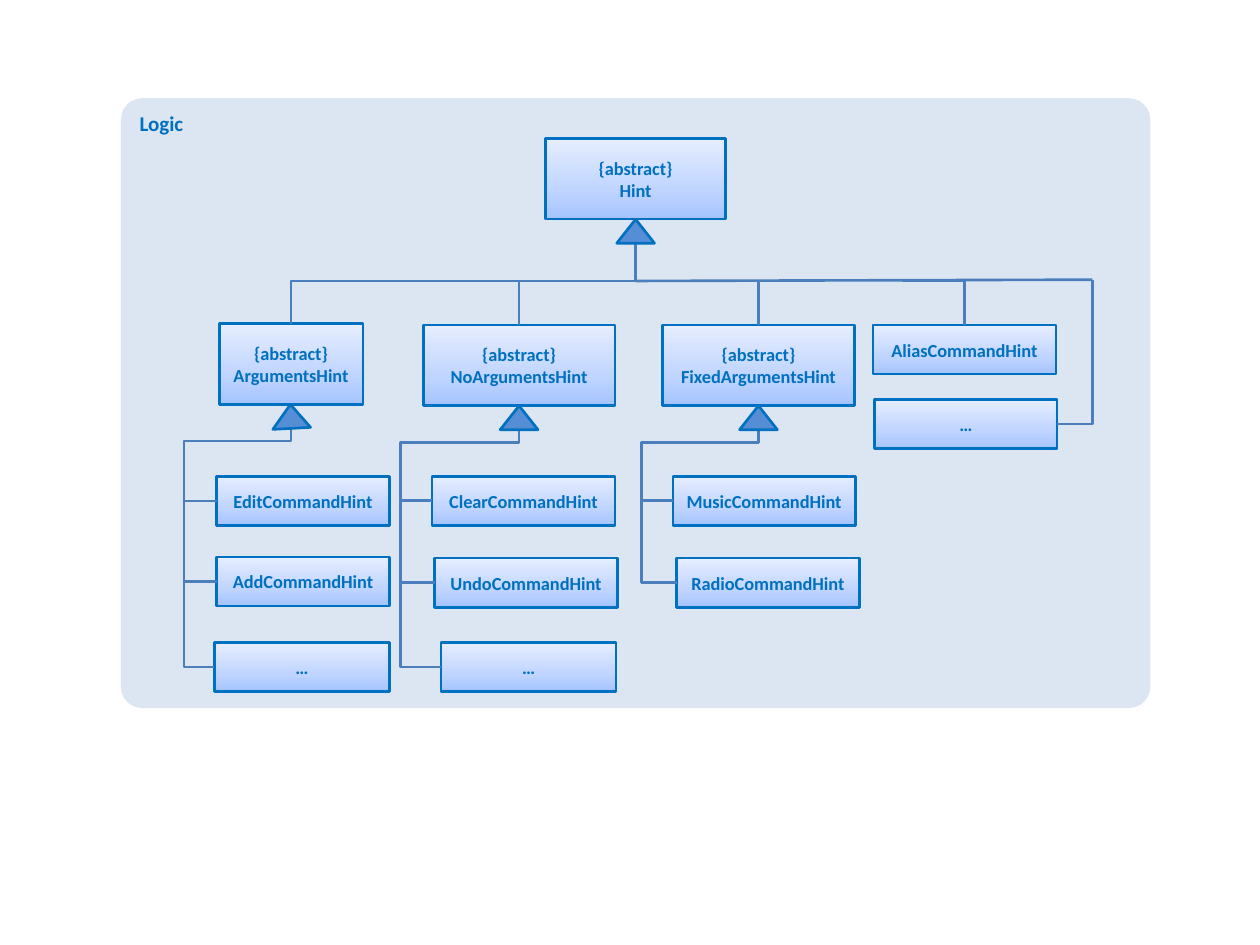
"""Build a class diagram of the hint hierarchy inside the Logic component."""
from copy import deepcopy
from dataclasses import dataclass

from lxml import etree
from pptx import Presentation
from pptx import util as u
from pptx.dml.color import RGBColor
from pptx.enum import shapes, text
from pptx.oxml.ns import qn


@dataclass(frozen=True)
class Theme:
    font: str = "Calibri"
    title_size: float = 12
    label_size: float = 10.5
    line_width: float = 1.5
    accent: str = "0070C0"
    panel: str = "DCE6F2"
    arrow: str = "558ED5"
    link: str = "4B7EBC"
    gradient: tuple = ((0, "A4C4FF"), (0.35, "BFD4FF"), (1, "E6EEFF"))


THEME = Theme()
ABSTRACT_H, CLASS_H = 0.64, 0.39
ARROW_W, ARROW_H = 0.3, 0.19
BUS_Y, BUS_END = 2.23, (8.67, 2.22)
FIRST_ROW, LAST_ROW = 3.78, 5.1

PANEL = ("Logic", 0.96, 0.78, 8.17, 4.84)
ROOT = ("{abstract}\nHint", 4.33, 1.1, 1.43)
FAMILIES = [
    {"parent": ("{abstract}\nArgumentsHint", 1.74, 2.57, 1.14), "trunk": 1.46, "tilt": -3.1,
     "children": [("EditCommandHint", 1.72, FIRST_ROW, 1.37),
                  ("AddCommandHint", 1.72, 4.42, 1.37),
                  ("…", 1.7, LAST_ROW, 1.39)]},
    {"parent": ("{abstract}\nNoArgumentsHint", 3.36, 2.58, 1.52), "trunk": 3.18, "tilt": 0,
     "children": [("ClearCommandHint", 3.43, FIRST_ROW, 1.45),
                  ("UndoCommandHint", 3.45, 4.43, 1.45),
                  ("…", 3.5, LAST_ROW, 1.39)]},
    {"parent": ("{abstract}\nFixedArgumentsHint", 5.26, 2.58, 1.52), "trunk": 5.09, "tilt": 0,
     "children": [("MusicCommandHint", 5.34, FIRST_ROW, 1.45),
                  ("RadioCommandHint", 5.37, 4.43, 1.45)]},
]
ALIAS = ("AliasCommandHint", 6.93, 2.58, 1.45)
OTHERS = ("…", 6.94, 3.17, 1.45)


def color(value):
    return RGBColor.from_string(value)


def write(shape, label, size, align, anchor):
    frame = shape.text_frame
    frame.word_wrap = True
    frame.vertical_anchor = anchor
    paragraph = frame.paragraphs[0]
    paragraph.alignment = align
    for i, row in enumerate(label.split("\n")):
        if i:
            paragraph.add_line_break()
        paragraph.add_run().text = row
    font = paragraph.font
    font.name, font.size, font.bold = THEME.font, u.Pt(size), True
    font.color.rgb = color(THEME.accent)


def add_shape(slide, kind, *place):
    shape = slide.shapes.add_shape(kind, *map(u.Inches, place))
    shape.shadow.inherit = False
    return shape


def outline(shape, value):
    shape.line.color.rgb = color(value)
    shape.line.width = u.Pt(THEME.line_width)


def add_panel(slide):
    label, *place = PANEL
    panel = add_shape(slide, shapes.MSO_SHAPE.ROUNDED_RECTANGLE, *place)
    panel.adjustments[0] = 0.035
    panel.fill.solid()
    panel.fill.fore_color.rgb = color(THEME.panel)
    panel.line.fill.background()
    write(panel, label, THEME.title_size, text.PP_ALIGN.LEFT, text.MSO_ANCHOR.TOP)


def add_class(slide, label, left, top, width, height=CLASS_H):
    box = add_shape(slide, shapes.MSO_SHAPE.RECTANGLE, left, top, width, height)
    box.fill.gradient()
    box.fill.gradient_angle = 90
    stops = box.element.spPr.find(".//" + qn("a:gsLst"))
    stops.append(deepcopy(stops[-1]))
    for stop, (position, value) in zip(box.fill.gradient_stops, THEME.gradient):
        stop.position = position
        stop.color.rgb = color(value)
    outline(box, THEME.accent)
    write(box, label, THEME.label_size, text.PP_ALIGN.CENTER, text.MSO_ANCHOR.MIDDLE)
    return box


def add_arrow(slide, center, top, tilt=0):
    arrow = add_shape(slide, shapes.MSO_SHAPE.ISOSCELES_TRIANGLE,
                      center - ARROW_W / 2, top, ARROW_W, ARROW_H)
    arrow.rotation = tilt
    arrow.fill.solid()
    arrow.fill.fore_color.rgb = color(THEME.arrow)
    outline(arrow, THEME.accent)


def add_link(slide, start, end, kind=shapes.MSO_CONNECTOR.STRAIGHT):
    link = slide.shapes.add_connector(kind, *map(u.Inches, (*start, *end)))
    outline(link, THEME.link)
    etree.SubElement(link._element.spPr, qn("a:effectLst"))
    return link


def add_elbow(slide, start, end, bends, turn=0, flip=False, adjust=()):
    link = add_link(slide, start, end, shapes.MSO_CONNECTOR.ELBOW)
    width, height = abs(end[0] - start[0]), abs(end[1] - start[1])
    if turn:
        width, height = height, width
    link.left = u.Inches((start[0] + end[0] - width) / 2)
    link.top = u.Inches((start[1] + end[1] - height) / 2)
    link.width, link.height = u.Inches(width), u.Inches(height)
    frame = link._element.spPr.find(qn("a:xfrm"))
    frame.set("rot", str(turn * 60000))
    frame.set("flipH", str(int(flip)))
    frame.set("flipV", "0")
    geometry = link._element.spPr.find(qn("a:prstGeom"))
    geometry.set("prst", f"bentConnector{bends + 1}")
    for i, share in enumerate(adjust, 1):
        etree.SubElement(geometry.find(qn("a:avLst")), qn("a:gd"),
                         name=f"adj{i}", fmla=f"val {round(share * 100000)}")


def middle(spec_row):
    return spec_row[1] + spec_row[3] / 2


def add_family(slide, parent, trunk, tilt, children):
    center, bottom = middle(parent), parent[2] + ABSTRACT_H
    boxes = [add_class(slide, *child) for child in children]
    joints = [(left, top + CLASS_H / 2) for _, left, top, _ in children]
    first, last = joints[0], joints[-1]
    add_elbow(slide, (center, bottom), first, 3, turn=90,
              adjust=(0.29 / (first[1] - bottom), (center - trunk) / (center - first[0])))
    add_elbow(slide, (trunk, first[1]), last, 2 - 1, turn=270, flip=True)
    add_link(slide, (trunk, joints[1][1]), joints[1]).end_connect(boxes[1], 1)
    add_arrow(slide, center, bottom, tilt)


def main():
    deck = Presentation()
    deck.slide_width, deck.slide_height = u.Inches(10), u.Inches(7.5)
    slide = deck.slides.add_slide(deck.slide_layouts[6])
    add_panel(slide)
    add_class(slide, *ROOT, ABSTRACT_H)
    parents = [add_class(slide, *family["parent"], ABSTRACT_H) for family in FAMILIES]
    for family in FAMILIES:
        add_family(slide, **family)
    add_class(slide, *ALIAS)
    add_class(slide, *OTHERS)

    arguments, no_arguments, fixed = (family["parent"] for family in FAMILIES)
    center, bottom = middle(ROOT), ROOT[2] + ABSTRACT_H
    stem = bottom + ARROW_H
    add_elbow(slide, (center, stem), (middle(arguments), arguments[2]), 2, turn=90,
              adjust=((BUS_Y - stem) / (arguments[2] - stem),))
    add_link(slide, (middle(no_arguments), BUS_Y),
             (middle(no_arguments), no_arguments[2])).end_connect(parents[1], 0)
    add_link(slide, (center, BUS_Y), BUS_END)
    for start, target in ((5.75, fixed), (7.16, ALIAS)):
        add_elbow(slide, (start, BUS_Y), (middle(target), target[2]), 1)
    add_elbow(slide, BUS_END, (OTHERS[1] + OTHERS[3], OTHERS[2] + CLASS_H / 2), 1, turn=90)
    add_arrow(slide, center, bottom)
    deck.save("out.pptx")


if __name__ == "__main__":
    main()
